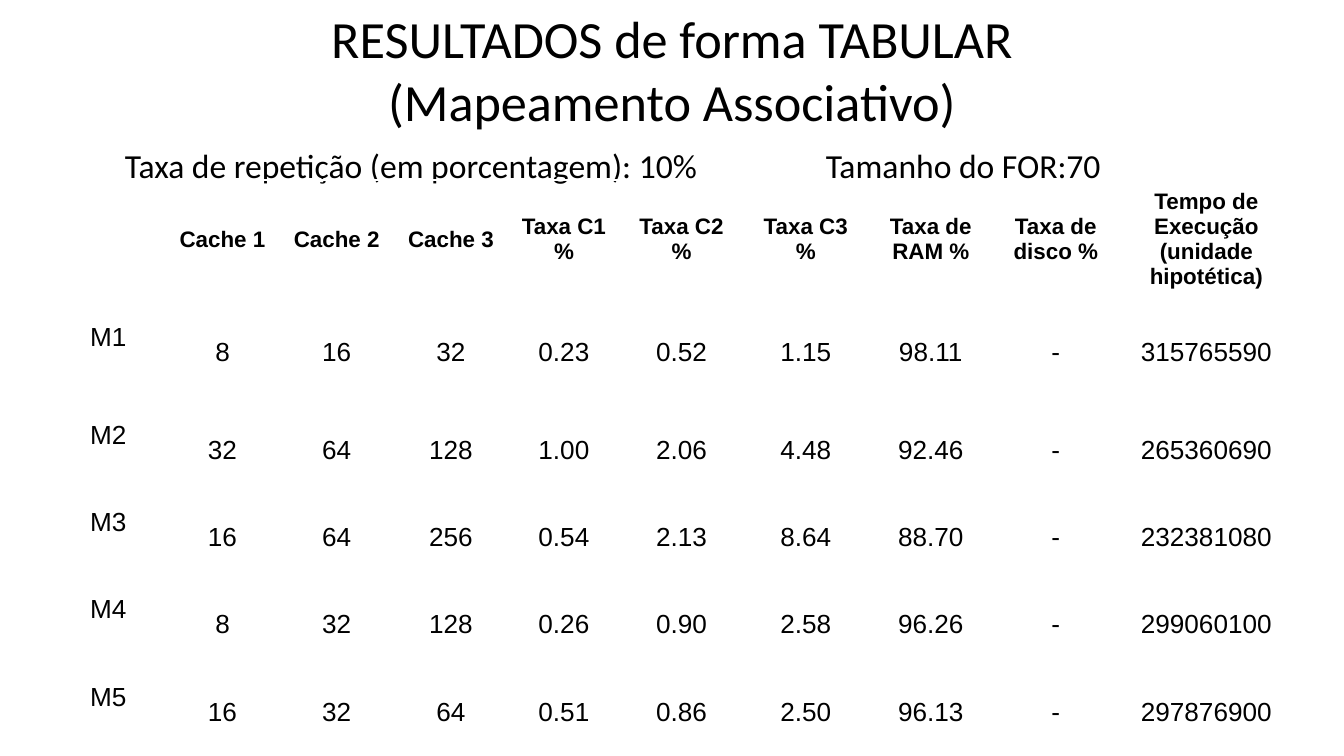
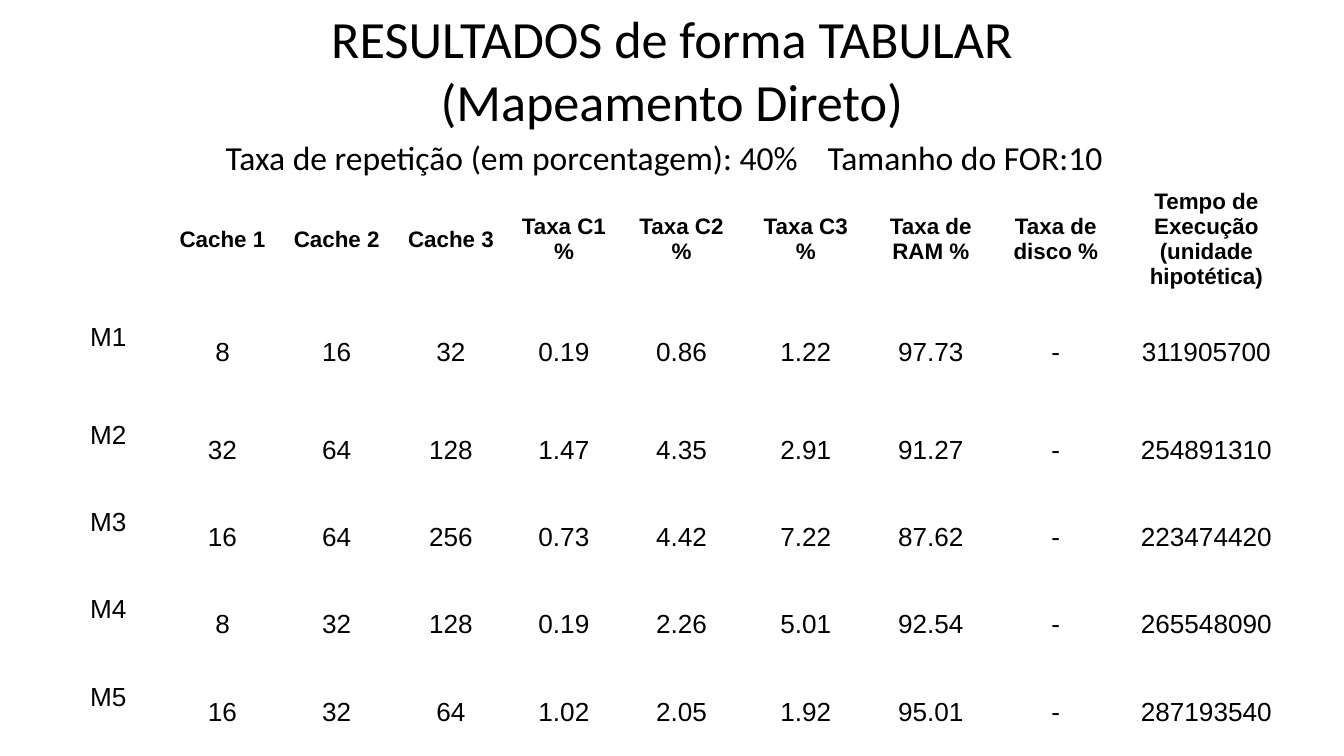
from dataclasses import dataclass

from lxml.etree import SubElement
from pptx import Presentation
from pptx.dml.color import RGBColor
from pptx.enum.text import MSO_ANCHOR as Anchor, MSO_AUTO_SIZE as AutoSize, PP_ALIGN as Align
from pptx.oxml.ns import qn
from pptx.util import Pt


@dataclass(frozen=True)
class Theme:
    ink: RGBColor = RGBColor(0, 0, 0)
    paper: RGBColor = RGBColor(255, 255, 255)
    heading_font: str = "Calibri"
    table_font: str = "Arial"
    title_size: int = 28
    settings_size: int = 18
    header_size: int = 12
    body_size: int = 14


THEME = Theme()
TITLE_ONLY = 5
COLUMN_WIDTHS = [61.2] * 4 + [59.8, 66.2, 67, 67, 67, 94.3]
ROW_HEIGHTS = [52.6, 57.6] + [46.8] * 4
CELL_MARGIN = 3
LABEL_LIFT = 16  # raises the machine names above the middle of their row

HEADERS = [
    "", "Cache 1", "Cache 2", "Cache 3", "Taxa C1\n%", "Taxa C2\n%", "Taxa C3\n%",
    "Taxa de RAM %", "Taxa de disco %", "Tempo de Execução\n(unidade hipotética)",
]
MACHINES = [
    ["M1", "8", "16", "32"],
    ["M2", "32", "64", "128"],
    ["M3", "16", "64", "256"],
    ["M4", "8", "32", "128"],
    ["M5", "16", "32", "64"],
]
ASSOCIATIVE_RESULTS = [
    ["0.23", "0.52", "1.15", "98.11", "-", "315765590"],
    ["1.00", "2.06", "4.48", "92.46", "-", "265360690"],
    ["0.54", "2.13", "8.64", "88.70", "-", "232381080"],
    ["0.26", "0.90", "2.58", "96.26", "-", "299060100"],
    ["0.51", "0.86", "2.50", "96.13", "-", "297876900"],
]
DIRECT_RESULTS = [
    ["0.19", "0.86", "1.22", "97.73", "-", "311905700"],
    ["1.47", "4.35", "2.91", "91.27", "-", "254891310"],
    ["0.73", "4.42", "7.22", "87.62", "-", "223474420"],
    ["0.19", "2.26", "5.01", "92.54", "-", "265548090"],
    ["1.02", "2.05", "1.92", "95.01", "-", "287193540"],
]


def write_text(frame, text, *, size, font, bold=False, align=Align.LEFT):
    """Fill a text frame; \\n starts a paragraph and \\v breaks a line."""
    for index, content in enumerate(text.split("\n")):
        para = frame.add_paragraph() if index else frame.paragraphs[0]
        para.alignment = align
        for line_number, line in enumerate(content.split("\v")):
            if line_number:
                para.add_line_break()
            span = para.add_run()
            span.text = line
            span.font.size = Pt(size)
            span.font.name = font
            span.font.bold = bold
            span.font.color.rgb = THEME.ink


def add_title(page, mapping):
    title = page.shapes.title
    title.left, title.top, title.width, title.height = Pt(73.4), Pt(8.6), Pt(573), Pt(57)
    frame = title.text_frame
    frame.auto_size = AutoSize.NONE
    frame.vertical_anchor = Anchor.MIDDLE
    write_text(frame, f"RESULTADOS de forma TABULAR\v(Mapeamento {mapping})",
               size=THEME.title_size, font=THEME.heading_font, align=Align.CENTER)


def add_settings(page, repetition, loop_size, *, left, top, width, tab):
    """Write the run settings, with the loop size at a tab stop."""
    box = page.shapes.add_textbox(Pt(left), Pt(top), Pt(width), Pt(21.6))
    frame = box.text_frame
    frame.word_wrap = True
    write_text(frame, f"Taxa de repetição (em porcentagem): {repetition}%\tTamanho do FOR:{loop_size}",
               size=THEME.settings_size, font=THEME.heading_font)
    properties = frame.paragraphs[0]._p.get_or_add_pPr()
    stops = SubElement(properties, qn("a:tabLst"))
    SubElement(stops, qn("a:tab"), pos=str(Pt(tab)), algn="l")


def add_results_table(page, results):
    rows = [HEADERS] + [machine + rates for machine, rates in zip(MACHINES, results)]
    frame = page.shapes.add_table(len(rows), len(HEADERS), Pt(27.4), Pt(96.5),
                                  Pt(sum(COLUMN_WIDTHS)), Pt(sum(ROW_HEIGHTS)))
    table = frame.table
    table.first_row = table.horz_banding = False
    for column, width in zip(table.columns, COLUMN_WIDTHS):
        column.width = Pt(width)
    for row, height in zip(table.rows, ROW_HEIGHTS):
        row.height = Pt(height)
    for row_index, values in enumerate(rows):
        is_header = row_index == 0
        for column_index, value in enumerate(values):
            cell = table.cell(row_index, column_index)
            cell.fill.background()
            cell.vertical_anchor = Anchor.MIDDLE
            is_label = column_index == 0 and not is_header
            cell.margin_top = Pt(CELL_MARGIN)
            cell.margin_bottom = Pt(CELL_MARGIN + (LABEL_LIFT if is_label else 0))
            if value:
                write_text(cell.text_frame, value, font=THEME.table_font, bold=is_header,
                           size=THEME.header_size if is_header else THEME.body_size,
                           align=Align.CENTER)


def add_results_page(deck, mapping, repetition, loop_size, results, **settings_place):
    page = deck.slides.add_slide(deck.slide_layouts[TITLE_ONLY])
    page.background.fill.solid()
    page.background.fill.fore_color.rgb = THEME.paper
    add_title(page, mapping)
    add_settings(page, repetition, loop_size, **settings_place)
    add_results_table(page, results)


def main():
    deck = Presentation()
    deck.slide_width, deck.slide_height = Pt(720), Pt(405)
    add_results_page(deck, "Associativo", 10, 70, ASSOCIATIVE_RESULTS,
                     left=59.8, top=74.2, width=638.6, tab=375.5)
    add_results_page(deck, "Direto", 40, 10, DIRECT_RESULTS,
                     left=113.8, top=69.8, width=492.5, tab=322.5)
    deck.save("out.pptx")


if __name__ == "__main__":
    main()
